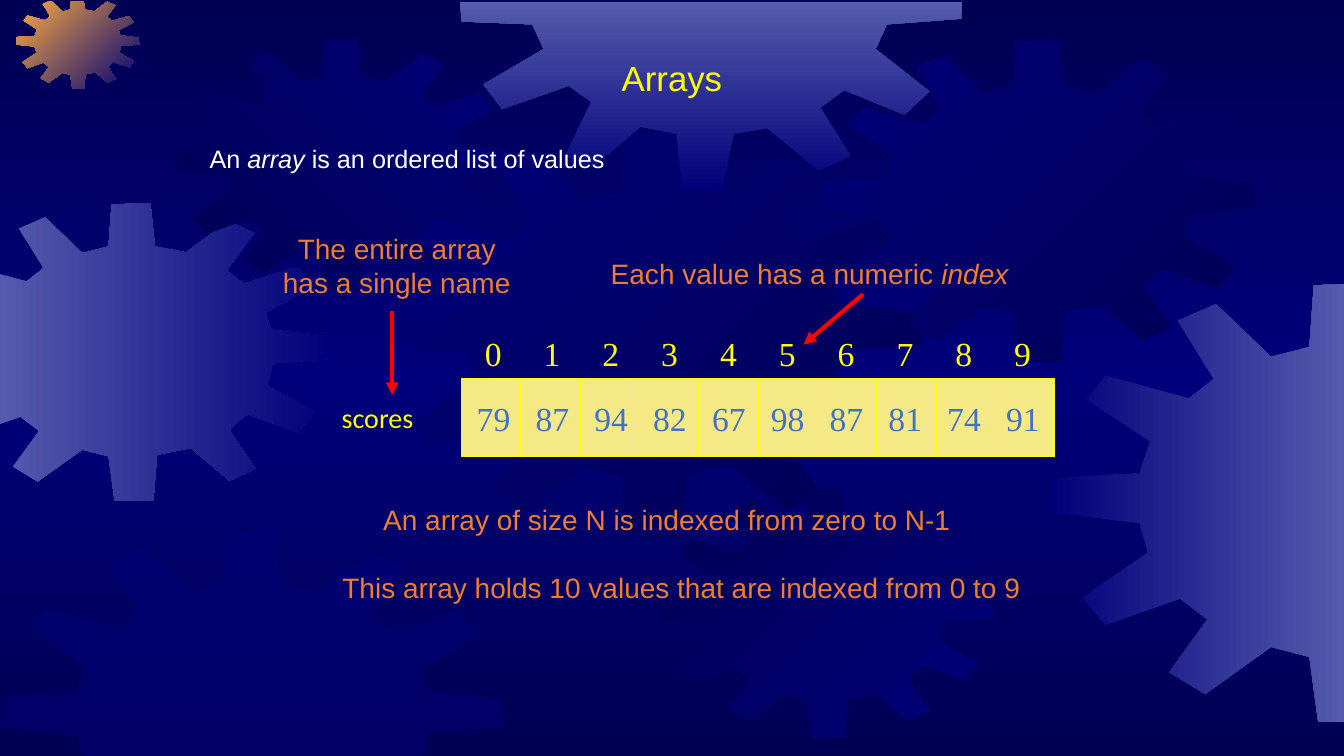
import copy

import pptx
import pptx.dml.color
import pptx.enum.shapes
import pptx.enum.text
import pptx.oxml
import pptx.oxml.ns
import pptx.util

THEME = {
    "night": "000054", "navy": "00007A", "steel": "555BAD", "amber": "FCAB40",
    "yellow": "FFFF00", "white": "FFFFFF", "orange": "ED7D31", "blue": "4472C4",
    "cell": "F5E985", "red": "FF0000",
    "title": {"name": "Arial", "size": pptx.util.Pt(24.8)},
    "body": {"name": "Arial", "size": pptx.util.Pt(18)},
    "note": {"name": "Arial", "size": pptx.util.Pt(20)},
    "label": {"name": "Calibri", "size": pptx.util.Pt(20)},
    "number": {"name": "Times New Roman", "size": pptx.util.Pt(24)},
}
COLUMNS, ROWS = 160, 90
ALIGN = pptx.enum.text.PP_ALIGN

presentation = pptx.Presentation()
presentation.slide_width = pptx.util.Inches(13.33)
presentation.slide_height = pptx.util.Inches(7.5)
UNIT = presentation.slide_height / ROWS
slide = presentation.slides.add_slide(presentation.slide_layouts[6])


def color(name):
    return pptx.dml.color.RGBColor.from_string(THEME[name])


def add_text(box, paragraphs, style, color_name, align=ALIGN.LEFT):
    """Add a text box; box is in grid units, paragraphs hold (text, italic) runs."""
    shape = slide.shapes.add_textbox(*[round(length * UNIT) for length in box])
    shape.text_frame.word_wrap = True
    for number, runs in enumerate(paragraphs):
        frame = shape.text_frame
        paragraph = frame.add_paragraph() if number else frame.paragraphs[0]
        paragraph.alignment = align
        for text, italic in runs:
            run = paragraph.add_run()
            run.text = text
            for attribute, value in {**THEME[style], "italic": italic}.items():
                setattr(run.font, attribute, value)
            run.font.color.rgb = color(color_name)
    return shape


# Background: dark edges, lighter middle
background = slide.background.fill
background.gradient()
background.gradient_angle = 270
first_stop = background._fill._gradFill.gsLst[0]
first_stop.addnext(copy.deepcopy(first_stop))
for stop, (position, name) in zip(background.gradient_stops,
                                  [(0, "night"), (0.5, "navy"), (1, "night")]):
    stop.position = position
    stop.color.rgb = color(name)

# Gears: one outline, stretched to each box and cut at one edge where needed
GEAR_WIDTH, GEAR_HEIGHT = 535, 401
GEAR = [
    (340, 67), (298, 59), (292, 0), (240, 3), (236, 59), (201, 68), (151, 20), (116, 35),
    (149, 88), (126, 106), (50, 85), (33, 107), (91, 145), (81, 174), (2, 178), (0, 210),
    (81, 219), (89, 246), (29, 287), (50, 312), (118, 288), (143, 307), (108, 355), (141, 375),
    (201, 332), (236, 341), (244, 400), (296, 401), (301, 339), (346, 330), (398, 374), (433, 358),
    (398, 306), (421, 284), (491, 309), (512, 281), (448, 246), (456, 216), (535, 210), (533, 180),
    (454, 171), (446, 148), (510, 114), (489, 87), (417, 109), (394, 91), (431, 41), (396, 25),
]
# box, colours, gradient angle, cut (axis, limit, side kept), rotation
gears = [
    ((-8.04, 24.12, 47.52, 35.52), ("steel", "navy"), 0, (0, 0, 1), 0),
    ((1.92, -0.48, 14.64, 11.04), ("amber", "navy"), 45, (1, 0.24, 1), 0),
    ((20.88, 4.68, 39.6, 29.76), ("night", "navy"), 315, None, 0),
    ((45.6, 15.72, 64.2, 48.24), ("navy", "night"), 45, None, 0),
    ((0, 63, 59.88, 45), ("navy",), 0, (1, ROWS, -1), 0),
    ((78.6, 58.08, 39.6, 29.76), ("night", "navy"), 45, None, 0),
    ((97.92, 4.68, 51.24, 38.4), ("navy", "night"), 45, None, 0),
    ((125.04, 33.6, 69.84, 52.44), ("navy", "steel"), 0, (0, COLUMNS, -1), 0),
    ((73.32, -18.6, 45, 60), ("navy", "steel"), 0, (0, 95.88, -1), 270),
]
for (left, top, width, height), colors, angle, cut, rotation in gears:
    points = [(left + x * width / GEAR_WIDTH, top + y * height / GEAR_HEIGHT) for x, y in GEAR]
    if cut:
        axis, limit, side = cut
        kept = []
        for start, end in zip(points, points[1:] + points[:1]):
            start_gap = (start[axis] - limit) * side
            end_gap = (end[axis] - limit) * side
            if start_gap >= 0:
                kept.append(start)
            if start_gap * end_gap < 0:
                share = start_gap / (start_gap - end_gap)
                kept.append(tuple(a + share * (b - a) for a, b in zip(start, end)))
        points = kept
    points = [(round(x * UNIT), round(y * UNIT)) for x, y in points]
    builder = slide.shapes.build_freeform(*points[0])
    builder.add_line_segments(points[1:], close=True)
    gear = builder.convert_to_shape()
    gear.shadow.inherit = False
    gear.line.fill.background()
    gear.rotation = rotation
    if len(colors) == 2:
        gear.fill.gradient()
        gear.fill.gradient_angle = (360 - angle) % 360
        for stop, name in zip(gear.fill.gradient_stops, colors):
            stop.color.rgb = color(name)
    else:
        gear.fill.solid()
        gear.fill.fore_color.rgb = color(colors[0])
        solid = gear._element.spPr.find(pptx.oxml.ns.qn("a:solidFill"))
        alpha = solid[0].makeelement(pptx.oxml.ns.qn("a:alpha"), {"val": "49000"})
        solid[0].append(alpha)

# Title and definition
title = add_text((22.2, 3.6, 115.56, 11.28), [[("Arrays", False)]], "title", "yellow", ALIGN.CENTER)
title.text_frame.vertical_anchor = pptx.enum.text.MSO_ANCHOR.MIDDLE
add_text((23.76, 16.44, 114.12, 66.96),
         [[("An ", False), ("array", True), (" is an ordered list of values", False)]],
         "body", "white")

# Array: a full bar, then every second cell outlined on it
ARRAY_LEFT, ARRAY_TOP, ARRAY_WIDTH, ARRAY_HEIGHT = 54.96, 45.12, 70.56, 9.24
CELL = ARRAY_WIDTH / 10
bars = [(ARRAY_LEFT, ARRAY_WIDTH)]
bars += [(ARRAY_LEFT + column * CELL, CELL) for column in range(1, 10, 2)]
for left, width in bars:
    bar = slide.shapes.add_shape(
        pptx.enum.shapes.MSO_SHAPE.RECTANGLE,
        *[round(length * UNIT) for length in (left, ARRAY_TOP, width, ARRAY_HEIGHT)])
    bar.shadow.inherit = False
    bar.fill.solid()
    bar.fill.fore_color.rgb = color("cell")
    bar.line.color.rgb = color("yellow")
    bar.line.width = pptx.util.Pt(1)

# Indices and values, spaced by tab stops
NUMBER_PITCH = 7
scores = [79, 87, 94, 82, 67, 98, 87, 81, 74, 91]
for box, numbers, color_name in [
    ((56.52, 39, 67.44, 6), range(10), "yellow"),
    ((55.56, 46.8, 75, 6.24), scores, "blue"),
]:
    row = add_text(box, [[("\t".join(map(str, numbers)), False)]], "number", color_name)
    properties = row.text_frame.paragraphs[0]._p.get_or_add_pPr()
    tabs = properties.makeelement(pptx.oxml.ns.qn("a:tabLst"), {})
    properties.append(tabs)
    for column in range(1, 10):
        position = str(round(column * NUMBER_PITCH * UNIT))
        tabs.append(tabs.makeelement(pptx.oxml.ns.qn("a:tab"), {"pos": position, "algn": "l"}))

# Notes around the array
name_label = add_text((39.48, 47.04, 14.4, 5.16), [[("scores", False)]], "label", "yellow")
for box, paragraphs in [
    ((31.68, 27, 31.08, 9.24), [[("The entire array", False)], [("has a single name", False)]]),
    ((69.96, 30, 52.8, 5.16), [[("Each value has a numeric ", False), ("index", True)]]),
    ((42.24, 59.28, 74.28, 5.16), [[("An array of size N is indexed from zero to N-1", False)]]),
    ((36.84, 67.32, 88.56, 5.16),
     [[("This array holds 10 values that are indexed from 0 to 9", False)]]),
]:
    add_text(box, paragraphs, "note", "orange", ALIGN.CENTER)

# Arrows from the notes to the name and the indices
for ends, target in [
    ((46.68, 37.08, 46.68, 47.04), name_label),
    ((102.72, 35.04, 95.64, 41.04), None),
]:
    arrow = slide.shapes.add_connector(pptx.enum.shapes.MSO_CONNECTOR.STRAIGHT,
                                       *[round(length * UNIT) for length in ends])
    arrow.line.color.rgb = color("red")
    arrow.line.width = pptx.util.Pt(3)
    line = arrow.line._get_or_add_ln()
    line.append(line.makeelement(pptx.oxml.ns.qn("a:tailEnd"), {"type": "triangle"}))
    outline = arrow._element.spPr
    outline.append(outline.makeelement(pptx.oxml.ns.qn("a:effectLst"), {}))
    if target is not None:
        arrow.end_connect(target, 0)

presentation.save("out.pptx")
